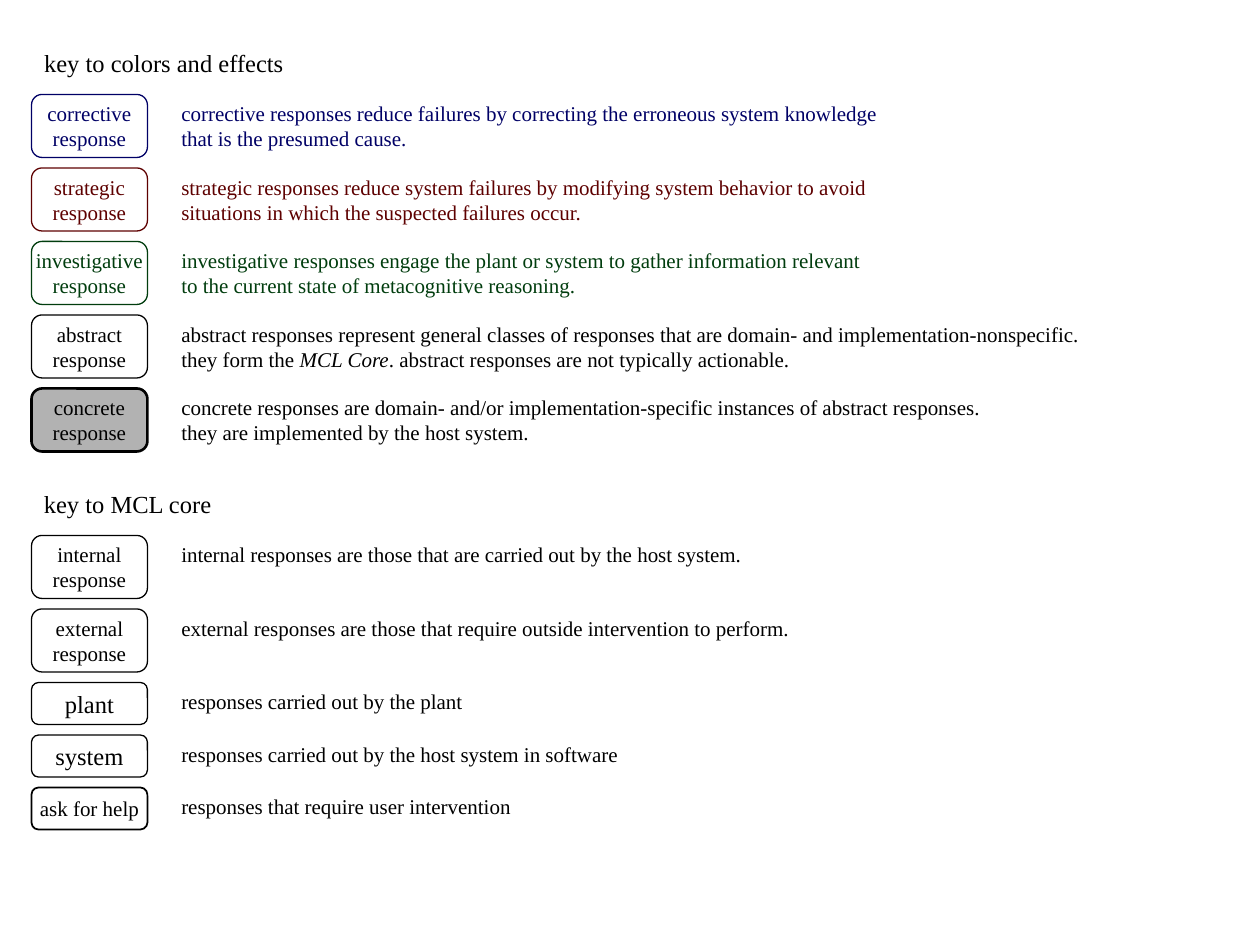
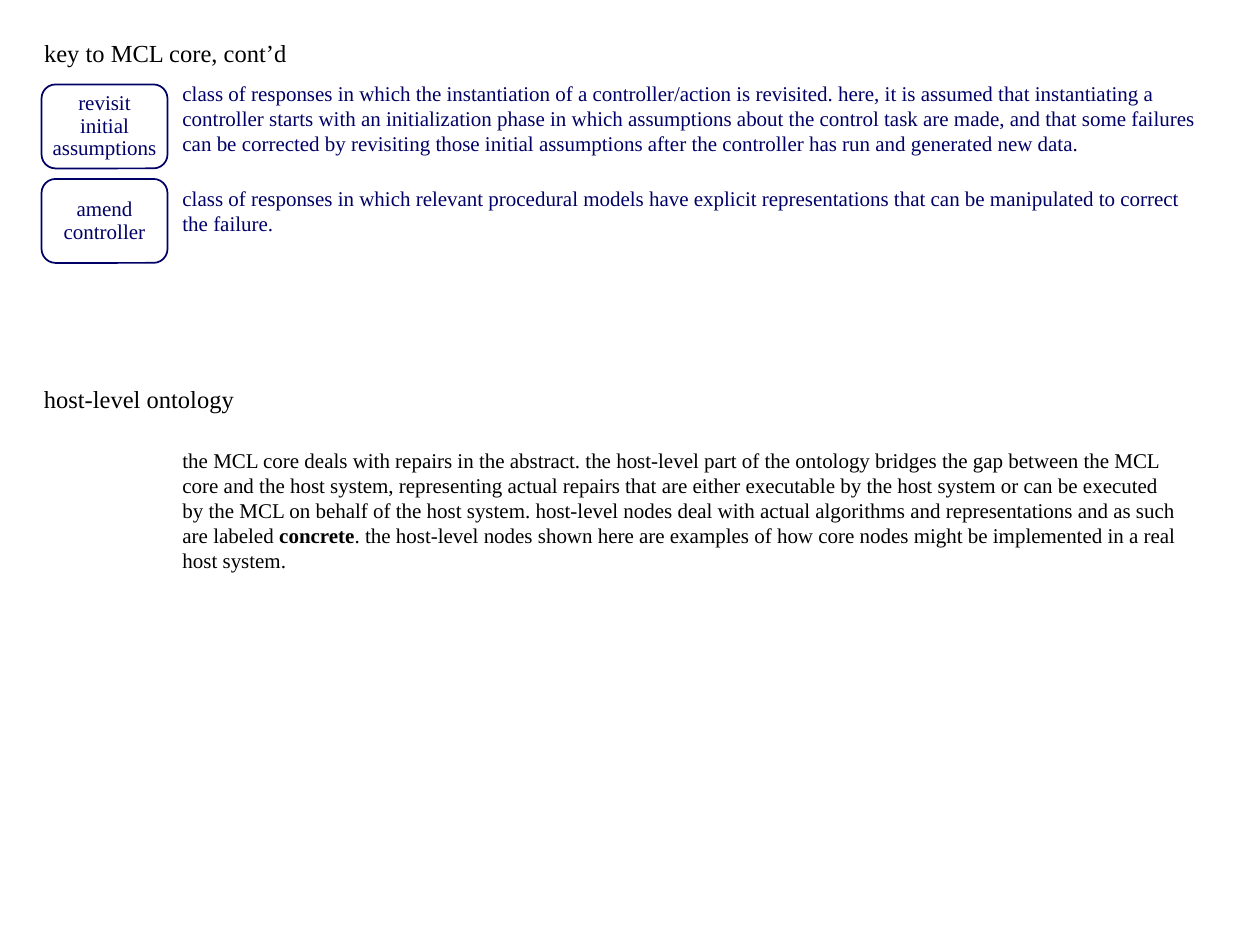
from dataclasses import dataclass
from pptx import Presentation
from pptx.dml.color import RGBColor
from pptx.enum.shapes import MSO_SHAPE
from pptx.enum.text import MSO_ANCHOR, MSO_AUTO_SIZE, PP_ALIGN
from pptx.util import Inches, Pt


@dataclass(frozen=True)
class Theme:
    font: str = "Times New Roman"
    head: int = 14
    body: int = 12
    navy: str = "000066"
    maroon: str = "5E0000"
    green: str = "013D0E"
    black: str = "000000"
    gray: str = "B2B2B2"


@dataclass(frozen=True)
class Box:
    left: float
    top: float
    width: float
    height: float

    def emu(self):
        return [Inches(n) for n in (self.left, self.top, self.width, self.height)]


@dataclass(frozen=True)
class Row:
    tag: str
    text: str
    color: str = Theme.black
    height: float = 0.5
    size: int = Theme.body
    line: float = 0.75
    fill: str = ""
    lift: float = 0


GAP = 1 / 12
SHORT = 1 / 3
TALL = 2 / 3

EFFECTS = [
    Row("corrective\nresponse",
        "corrective responses reduce failures by correcting the erroneous system knowledge\n"
        "that is the presumed cause.", Theme.navy),
    Row("strategic\nresponse",
        "strategic responses reduce system failures by modifying system behavior to avoid\n"
        "situations in which the suspected failures occur.", Theme.maroon),
    Row("investigative\nresponse",
        "investigative responses engage the plant or system to gather information relevant\n"
        "to the current state of metacognitive reasoning.", Theme.green),
    Row("abstract\nresponse",
        "abstract responses represent general classes of responses that are domain- and "
        "implementation-nonspecific.\n"
        "they form the |MCL Core|. abstract responses are not typically actionable."),
    Row("concrete\nresponse",
        "concrete responses are domain- and/or implementation-specific instances of "
        "abstract responses.\nthey are implemented by the host system.",
        line=1.5, fill=Theme.gray),
]

CORE = [
    Row("internal\nresponse",
        "internal responses are those that are carried out by the host system."),
    Row("external\nresponse",
        "external responses are those that require outside intervention to perform."),
    Row("plant", "responses carried out by the plant", height=SHORT, size=Theme.head),
    Row("system", "responses carried out by the host system in software",
        height=SHORT, size=Theme.head),
    Row("ask for help", "responses that require user intervention", height=SHORT, line=1),
]

REPAIRS = [
    Row("revisit\ninitial\nassumptions",
        "class of responses in which the instantiation of a controller/action is revisited. "
        "here, it is assumed that instantiating a\n"
        "controller starts with an initialization phase in which assumptions about the "
        "control task are made, and that some failures\n"
        "can be corrected by revisiting those initial assumptions after the controller has "
        "run and generated new data.", Theme.navy, TALL, line=1, lift=GAP),
    Row("amend\ncontroller",
        "class of responses in which relevant procedural models have explicit "
        "representations that can be manipulated to correct\nthe failure.",
        Theme.navy, TALL, line=1),
]

HOST = (
    "the MCL core deals with repairs in the abstract. the host-level part of the ontology "
    "bridges the gap between the MCL\n"
    "core and the host system, representing actual repairs that are either executable by "
    "the host system or can be executed\n"
    "by the MCL on behalf of the host system. host-level nodes deal with actual algorithms "
    "and representations and as such\n"
    "are labeled |concrete|. the host-level nodes shown here are examples of how core nodes "
    "might be implemented in a real\nhost system."
)


def write(frame, text, size, color=Theme.black, align=PP_ALIGN.LEFT,
          anchor=MSO_ANCHOR.TOP, accent="italic"):
    """Fill a frame; words between bars take the accent."""
    frame.auto_size = MSO_AUTO_SIZE.NONE
    frame.vertical_anchor = anchor
    frame.text = text
    for para in frame.paragraphs:
        para.alignment = align
        parts = para.text.split("|")
        para.text = parts[0]
        for part in parts[1:]:
            para.add_run().text = part
        for i, run in enumerate(para.runs):
            run.font.name = Theme.font
            run.font.size = Pt(size)
            run.font.color.rgb = RGBColor.from_string(color)
            if i % 2:
                setattr(run.font, accent, True)


def note(slide, left, top, text, size=Theme.body, color=Theme.black, accent="italic"):
    """Add left-aligned text on a box as tall as its lines."""
    lines = text.count("\n") + 1
    box = Box(left, top, 9.85 - left, 0.1 + lines * size / 60)
    frame = slide.shapes.add_textbox(*box.emu()).text_frame
    frame.word_wrap = True
    write(frame, text, size, color, accent=accent)


def title(slide, box, text):
    shape = slide.shapes.title
    shape.left, shape.top, shape.width, shape.height = box.emu()
    shape.text_frame.word_wrap = True
    write(shape.text_frame, text, Theme.head)


def badge(slide, box, row, space):
    shape = slide.shapes.add_shape(MSO_SHAPE.ROUNDED_RECTANGLE, *box.emu())
    shape.shadow.inherit = False
    shape.line.color.rgb = RGBColor.from_string(row.color)
    shape.line.width = Pt(row.line)
    if row.fill:
        shape.fill.solid()
        shape.fill.fore_color.rgb = RGBColor.from_string(row.fill)
    else:
        shape.fill.background()
    frame = shape.text_frame
    frame.word_wrap = False
    write(frame, row.tag, row.size, row.color, PP_ALIGN.CENTER, MSO_ANCHOR.MIDDLE)
    for para in frame.paragraphs:
        para.line_spacing = space


def legend(slide, left, top, width, rows, inset, space=1.0):
    """Stack badges with a note beside each."""
    for row in rows:
        badge(slide, Box(left, top, width, row.height), row, space)
        note(slide, left + inset, top - row.lift, row.text, color=row.color)
        top += row.height + GAP


def key(slide):
    title(slide, Box(0.25, 0.33, 4, 0.34), "key to colors and effects")
    legend(slide, 0.25, 0.75, 0.92, EFFECTS, 1.09)
    note(slide, 0.25, 3.83, "key to MCL core", Theme.head)
    legend(slide, 0.25, 4.25, 0.92, CORE, 1.09)


def more(slide):
    title(slide, Box(0.25, 0.25, 4, 0.34), "key to MCL core, cont’d")
    legend(slide, 0.33, 0.67, 1, REPAIRS, 1.02, 0.9)
    note(slide, 0.25, 3, "host-level ontology", Theme.head)
    note(slide, 1.35, 3.5, HOST, accent="bold")


def main():
    deck = Presentation()
    deck.slide_width, deck.slide_height = Inches(10), Inches(7.5)
    for build in (key, more):
        build(deck.slides.add_slide(deck.slide_layouts[5]))
    deck.save("out.pptx")


if __name__ == "__main__":
    main()
